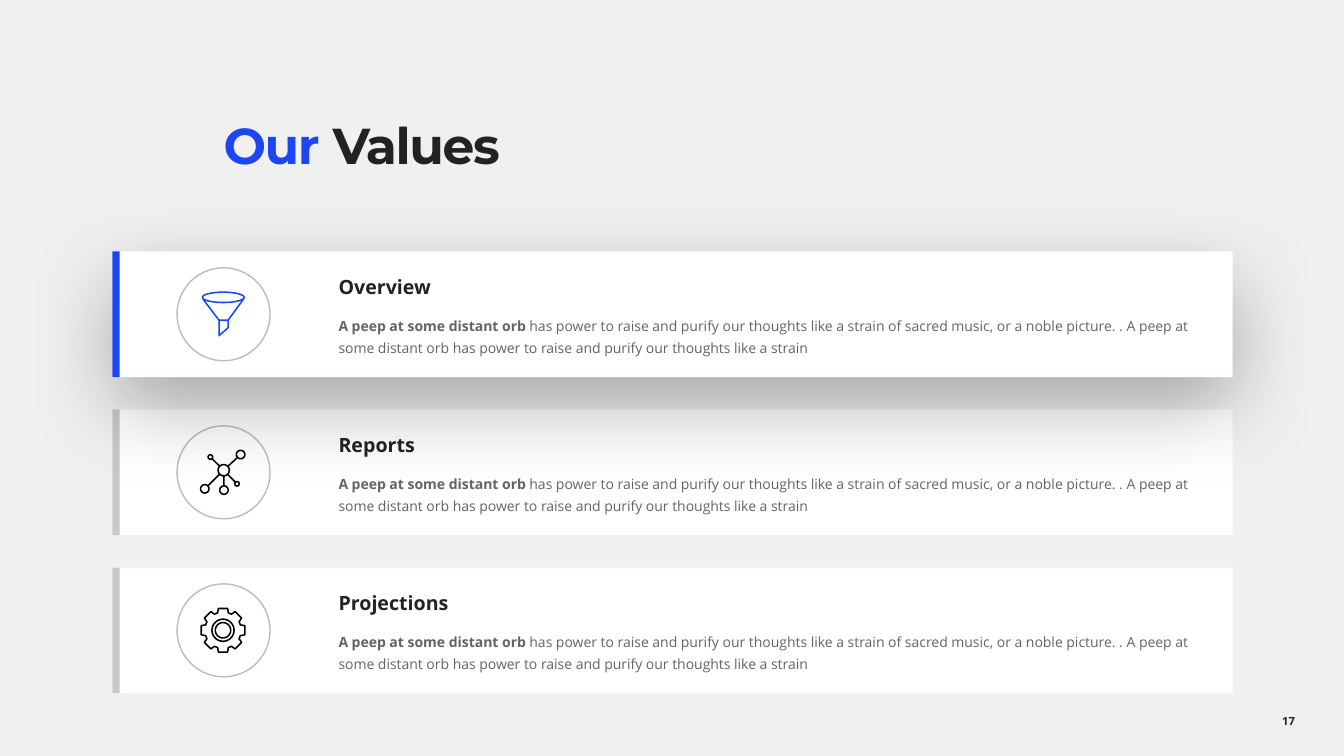
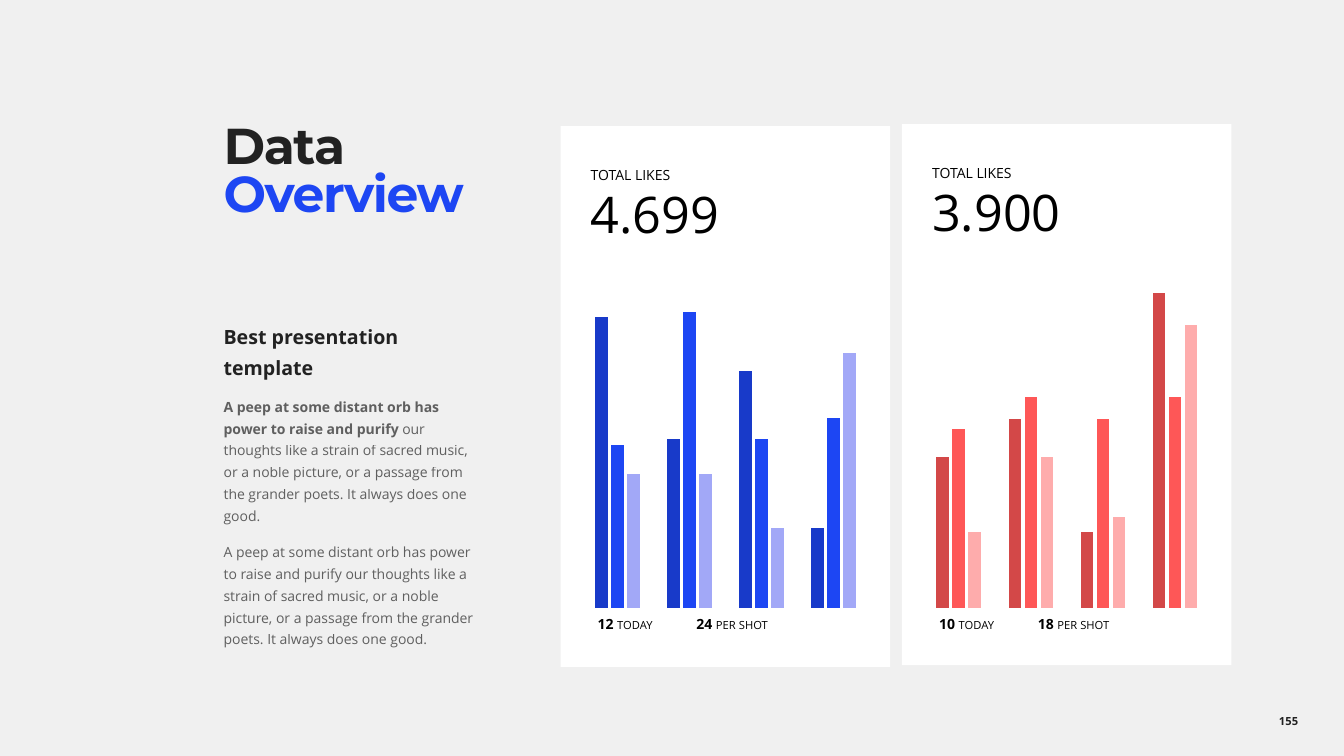
from copy import deepcopy
from dataclasses import dataclass, replace
from math import cos, hypot, radians, sin

from lxml import etree
from pptx import Presentation
from pptx import util as u
from pptx.chart import data as chart_data
from pptx.dml import color as dml
from pptx.enum import chart as charts, shapes, text
from pptx.oxml import ns

Pt = u.Pt


@dataclass(frozen=True)
class Style:
    size: float
    color: str
    bold: bool = False
    font: str = "Open Sans"
    opacity: int = 100
    tracking: float = 0


class Theme:
    page = "F0F0F0"
    ink = "222222"
    black = "000000"
    accent = "1D46F3"
    row = "FEFFFF"
    card = "FFFFFF"
    inactive = "C8C8C8"
    blues = ("183AC9", "1D46F3", "A2A8F7")
    reds = ("D34848", "FE5757", "FEACAC")
    title = Style(36, ink, True, "Montserrat", tracking=-1)
    title_accent = replace(title, color=accent)
    heading = Style(14, ink, True)
    body = Style(10, ink, opacity=70)
    body_bold = replace(body, bold=True)
    caption = Style(10, black)
    figure = Style(36, black)
    count = Style(10, black, True)
    unit = Style(8, black)
    footer = Style(8, ink, True)


BREAK = "\n"
TEXT_LEFT = 159.7
LEAD = "A peep at some distant orb "
ROW_TEXT = ("has power to raise and purify our thoughts like a strain of sacred music, "
            "or a noble picture. . A peep at some distant orb has power to raise and "
            "purify our thoughts like a strain")
POETS = ("our thoughts like a strain of sacred music, or a noble picture, or a passage "
         "from the grander poets. It always does one good.")
PURIFY = "A peep at some distant orb has power to raise and purify "


def rgb(value):
    return dml.RGBColor.from_string(value)


def fade(element, opacity):
    """Give every colour inside the element the opacity, in percent."""
    for node in element.iter(ns.qn("a:srgbClr")):
        etree.SubElement(node, ns.qn("a:alpha")).set("val", str(opacity * 1000))


# Text
def add_span(paragraph, words, style):
    span = paragraph.add_run()
    span.text = words
    font = span.font
    font.name, font.size, font.bold = style.font, Pt(style.size), style.bold
    font.color.rgb = rgb(style.color)
    if style.opacity < 100:
        fade(span._r, style.opacity)
    if style.tracking:
        span._r.rPr.set("spc", str(int(style.tracking * 100)))
    return span


def write(shape, paragraphs, insets=(7.2, 3.6, 7.2, 3.6), anchor=text.MSO_ANCHOR.TOP,
          align=text.PP_ALIGN.LEFT, line=1.0, gap=0):
    """Each paragraph is a list of (words, style) pairs and BREAK marks."""
    frame = shape.text_frame
    frame.word_wrap = True
    frame.vertical_anchor = anchor
    frame.margin_left, frame.margin_top, frame.margin_right, frame.margin_bottom = map(Pt, insets)
    for index, spans in enumerate(paragraphs):
        para = frame.add_paragraph() if index else frame.paragraphs[0]
        para.alignment = align
        para.line_spacing = line
        if index and gap:
            para.space_before = Pt(gap)
        for item in spans:
            if item == BREAK:
                para.add_line_break()
                # The break takes the size of the span before it
                para._p[-1].append(deepcopy(span._r.rPr))
            else:
                span = add_span(para, *item)


def add_text(parent, left, top, width, height, paragraphs, **options):
    box = parent.add_textbox(Pt(left), Pt(top), Pt(width), Pt(height))
    write(box, paragraphs, **options)


# Shapes
def paint(shape, fill=None, line=None, weight=1.0):
    shape.shadow.inherit = False
    if fill:
        shape.fill.solid()
        shape.fill.fore_color.rgb = rgb(fill)
    else:
        shape.fill.background()
    if line:
        shape.line.color.rgb = rgb(line)
        shape.line.width = Pt(weight)
    else:
        shape.line.fill.background()
    return shape


def add_box(parent, left, top, width, height, fill, kind=shapes.MSO_SHAPE.RECTANGLE):
    return paint(parent.add_shape(kind, Pt(left), Pt(top), Pt(width), Pt(height)), fill)


def add_ring(parent, x, y, size):
    ring = parent.add_shape(shapes.MSO_SHAPE.OVAL, Pt(x - size / 2), Pt(y - size / 2),
                            Pt(size), Pt(size))
    paint(ring, line=Theme.ink)
    fade(ring._element.spPr, 30)


def add_soft_shadow(shape):
    effects = shape._element.spPr.find(ns.qn("a:effectLst"))
    shadow = etree.SubElement(effects, ns.qn("a:outerShdw"), blurRad=str(Pt(60)),
                              dist=str(Pt(20)), dir="5400000", rotWithShape="0")
    etree.SubElement(shadow, ns.qn("a:srgbClr")).set("val", Theme.black)
    fade(shadow, 30)


# Icons: each is a list of contours measured from its centre
def oval(x, y, width, height):
    return [(x + width / 2 * cos(radians(turn)), y + height / 2 * sin(radians(turn)))
            for turn in range(0, 361, 10)]


def funnel():
    return [oval(0.2, -12, 29.8, 7.4),
            [(-14.2, -10.6), (-2.8, 4.4), (3.6, 4.4), (14.6, -10.6)],
            [(-2.8, 4.4), (-2.8, 15.4), (3.6, 9.8), (3.6, 4.4)]]


def network():
    hub_x, hub_y, hub_size = 0.5, -1.4, 8
    contours = [oval(hub_x, hub_y, hub_size, hub_size)]
    for x, y, size in [(12.6, -12.6, 6), (-9, -10.8, 3.2), (-13, 11.9, 6),
                       (0.7, 12.8, 6), (10, 8.3, 3.2)]:
        dx, dy = x - hub_x, y - hub_y
        length = hypot(dx, dy)
        # Spokes run from the edge of the hub to the edge of the node
        spoke = [(hub_x + dx * part, hub_y + dy * part)
                 for part in (hub_size / 2 / length, 1 - size / 2 / length)]
        contours += [spoke, oval(x, y, size, size)]
    return contours


def gear():
    tooth = [(13, -17), (15.9, -12), (15.9, 12), (13, 17)]
    rim = [(radius * cos(radians(turn + offset)), radius * sin(radians(turn + offset)))
           for turn in range(0, 360, 45) for radius, offset in tooth]
    return [rim + rim[:1], oval(0, 0, 15.8, 15.8), oval(0, 0, 11, 11)]


def add_icon(parent, x, y, contours, line):
    contours = [[(Pt(x + dx), Pt(y + dy)) for dx, dy in points] for points in contours]
    builder = parent.build_freeform(*contours[0][0])
    for index, points in enumerate(contours):
        if index:
            builder.move_to(*points[0])
        builder.add_line_segments(points[1:], close=points[0] == points[-1])
    paint(builder.convert_to_shape(), line=line, weight=1.1)


# Parts of the slides
def add_page(deck, number):
    page = deck.slides.add_slide(deck.slide_layouts[6])
    page.background.fill.solid()
    page.background.fill.fore_color.rgb = rgb(Theme.page)
    add_text(page.shapes, 880.9, 501, 79.2, 28.8, [[(number, Theme.footer)]],
             anchor=text.MSO_ANCHOR.MIDDLE, align=text.PP_ALIGN.CENTER)
    return page


def add_title(page, *spans):
    add_text(page.shapes, TEXT_LEFT, 74.8, 720, 98.6, [spans], insets=(0, 15.1, 0, 0), line=0.8)


def add_value_row(page, index, heading, icon, active=False):
    left, top, height = 80.2, 179.6 + 112.9 * index, 89.8
    row = page.shapes.add_group_shape().shapes
    panel = add_box(row, left, top, 800.3, height, Theme.row)
    if active:
        add_soft_shadow(panel)
    write(panel, [[(heading, Theme.heading)], [(LEAD, Theme.body_bold), (ROW_TEXT, Theme.body)]],
          insets=(161.6, 0, 7.2, 3.6), anchor=text.MSO_ANCHOR.MIDDLE, line=1.3, gap=10)
    add_box(row, left, top, 5.3, height, Theme.accent if active else Theme.inactive)
    x, y = left + 79.5, top + height / 2
    add_ring(row, x, y, 66.4)
    add_icon(row, x - 0.4, y - 0.1, icon, Theme.accent if active else Theme.black)


def add_likes_card(page, left, top, total, counts):
    card = page.shapes.add_group_shape().shapes
    panel = add_box(card, left, top, 235.4, 386.4, Theme.card,
                    shapes.MSO_SHAPE.ROUNDED_RECTANGLE)
    panel.adjustments[0] = 0
    write(panel, [[("TOTAL LIKES", Theme.caption), BREAK, (total, Theme.figure)]],
          insets=(21.6, 28.8, 0, 0))
    for index, (count, unit) in enumerate(zip(counts, ("TODAY", "PER SHOT"))):
        add_text(card, left + 19.4 + 70.6 * index, 438.5, 75.6, 18.7,
                 [[(count + " ", Theme.count), (unit, Theme.unit)]], line=0.8)


def add_likes_chart(page, left, rows, colors, top_value):
    data = chart_data.CategoryChartData()
    data.categories = ["1", "2", "3", "4"]
    for index, values in enumerate(rows, 1):
        data.add_series(f"Series {index}", values)
    chart = page.shapes.add_chart(charts.XL_CHART_TYPE.COLUMN_CLUSTERED, Pt(left), Pt(187.9),
                                  Pt(214.6), Pt(251.3), data).chart
    chart.has_title = chart.has_legend = False
    chart.font.name, chart.font.size = "Open Sans", Pt(10)
    chart.font.color.rgb = rgb(Theme.ink)
    chart.category_axis.visible = chart.value_axis.visible = False
    chart.value_axis.has_major_gridlines = False
    chart.value_axis.minimum_scale, chart.value_axis.maximum_scale = 0, top_value
    plot = chart.plots[0]
    plot.gap_width, plot.overlap, plot.vary_by_categories = 219, -27, False
    for series, color in zip(plot.series, colors):
        series.format.fill.solid()
        series.format.fill.fore_color.rgb = rgb(color)


def build_values(deck):
    page = add_page(deck, "17")
    add_value_row(page, 1, "Reports", network())
    add_value_row(page, 2, "Projections", gear())
    add_title(page, ("Our", Theme.title_accent), (" Values", Theme.title))
    # The active row comes last so its shadow falls on the row below
    add_value_row(page, 0, "Overview", funnel(), active=True)


def build_data(deck):
    page = add_page(deck, "155")
    add_title(page, ("Data ", Theme.title), BREAK, ("Overview", Theme.title_accent))
    add_text(page.shapes, TEXT_LEFT, 224.3, 198, 242,
             [[("Best presentation template", Theme.heading)],
              [(PURIFY, Theme.body_bold), (POETS, Theme.body)],
              [(PURIFY + POETS, Theme.body)]],
             insets=(0, 2.9, 17.3, 2.9), line=1.3, gap=10)
    add_likes_card(page, 400.4, 90, "4.699", ("12", "24"))
    add_likes_card(page, 644.3, 88.6, "3.900", ("10", "18"))
    add_likes_chart(page, 411, [(98, 57, 80, 27), (55, 100, 57, 64), (45, 45, 27, 86)],
                    Theme.blues, 114)
    add_likes_chart(page, 654.8, [(48, 60, 24, 100), (57, 67, 60, 67), (24, 48, 29, 90)],
                    Theme.reds, 107.4)


def main():
    deck = Presentation()
    deck.slide_width, deck.slide_height = Pt(960), Pt(540)
    build_values(deck)
    build_data(deck)
    deck.save("out.pptx")


if __name__ == "__main__":
    main()
